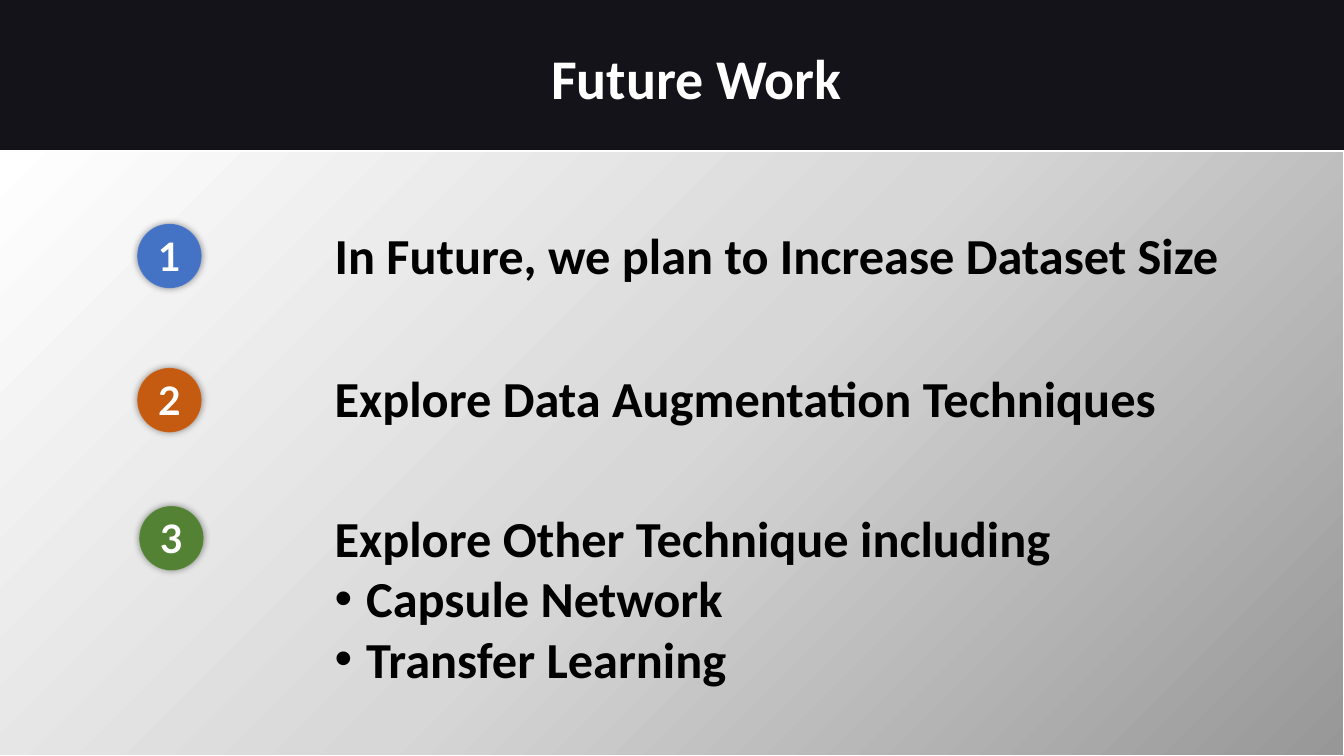
import dataclasses

import lxml.etree
import pptx
import pptx.dml.color
import pptx.enum.shapes
import pptx.enum.text
import pptx.oxml
import pptx.oxml.ns
import pptx.util

Pt = pptx.util.Pt
RECTANGLE = pptx.enum.shapes.MSO_SHAPE.RECTANGLE
OVAL = pptx.enum.shapes.MSO_SHAPE.OVAL
CENTER = pptx.enum.text.PP_ALIGN.CENTER
qn = pptx.oxml.ns.qn
NAMESPACE = pptx.oxml.ns.nsdecls("a")


@dataclasses.dataclass(frozen=True)
class Theme:
    background: str = "524E67"
    band: str = "000000"
    light: str = "FFFFFF"
    dark: str = "000000"
    gradient: tuple = ((0, "979797"), (50, "D7D7D7"), (100, "FFFFFF"))
    badges: tuple = ("4472C4", "C55A11", "548235")
    text_font: str = "Calibri"
    badge_font: str = "Lato"
    title_size: int = 40
    item_size: int = 36
    badge_size: int = 28


THEME = Theme()
ITEMS = (
    (98, 159.84, 159.84, 661.68, 43.92, "In Future, we plan to Increase Dataset Size", ()),
    (98, 262.8, 262.08, 713.52, 43.92, "Explore Data Augmentation Techniques", ()),
    (99.4, 361.44, 362.16, 699.84, 131.04, "Explore Other Technique including",
     ("Capsule Network", "Transfer Learning")),
)


def rgb(value):
    return pptx.dml.color.RGBColor.from_string(value)


def set_alpha(color_element, percent):
    lxml.etree.SubElement(color_element, qn("a:alpha")).set("val", str(percent * 1000))


def style_font(paragraph, name, size, color):
    paragraph.font.name = name
    paragraph.font.size = Pt(size)
    paragraph.font.bold = True
    paragraph.font.color.rgb = rgb(color)


def add_plain_shape(shapes, kind, left, top, width, height, color):
    shape = shapes.add_shape(kind, Pt(left), Pt(top), Pt(width), Pt(height))
    shape.shadow.inherit = False
    shape.fill.solid()
    shape.fill.fore_color.rgb = rgb(color)
    shape.line.fill.background()
    return shape


def add_textbox(shapes, left, top, width, height):
    textbox = shapes.add_textbox(Pt(left), Pt(top), Pt(width), Pt(height))
    textbox.text_frame.word_wrap = True
    textbox.text_frame.auto_size = pptx.enum.text.MSO_AUTO_SIZE.SHAPE_TO_FIT_TEXT
    return textbox


def add_header(slide, left, top, width, height):
    band = add_plain_shape(slide.shapes, RECTANGLE, left, top, width, height, THEME.band)
    set_alpha(band.element.spPr.find(f"{qn('a:solidFill')}/{qn('a:srgbClr')}"), 75)
    title = add_textbox(slide.shapes, left + 51.84, top + 27.36, 891.36, 55.44)
    paragraph = title.text_frame.paragraphs[0]
    paragraph.text = "Future Work"
    paragraph.alignment = CENTER
    style_font(paragraph, THEME.text_font, THEME.title_size, THEME.light)


def add_panel(slide, left, top, width, height):
    panel = add_plain_shape(slide.shapes, RECTANGLE, left, top, width, height, THEME.light)
    panel.line.color.rgb = rgb(THEME.light)
    panel.line.width = Pt(1)
    stops = "".join(
        f'<a:gs pos="{position * 1000}"><a:srgbClr val="{color}"/></a:gs>'
        for position, color in THEME.gradient
    )
    gradient = pptx.oxml.parse_xml(
        f'<a:gradFill {NAMESPACE} rotWithShape="1"><a:gsLst>{stops}</a:gsLst>'
        '<a:path path="circle"><a:fillToRect l="100000" t="100000"/></a:path>'
        '<a:tileRect r="-100000" b="-100000"/></a:gradFill>'
    )
    properties = panel.element.spPr
    properties.replace(properties.find(qn("a:solidFill")), gradient)


def add_badge(shapes, left, top, diameter, number, color):
    badge = add_plain_shape(shapes, OVAL, left, top, diameter, diameter, color)
    badge.line.color.rgb = rgb(THEME.light)
    badge.line.width = Pt(0.5)
    properties = badge.element.spPr
    set_alpha(properties.find(f"{qn('a:ln')}/{qn('a:solidFill')}/{qn('a:srgbClr')}"), 15)
    properties.find(qn("a:effectLst")).append(pptx.oxml.parse_xml(
        f'<a:outerShdw {NAMESPACE} blurRad="{Pt(5)}" dist="0" dir="0" algn="ctr" rotWithShape="0">'
        f'<a:srgbClr val="{THEME.dark}"><a:alpha val="40000"/></a:srgbClr></a:outerShdw>'
    ))
    badge.text_frame.vertical_anchor = pptx.enum.text.MSO_ANCHOR.MIDDLE
    paragraph = badge.text_frame.paragraphs[0]
    paragraph.text = str(number)
    paragraph.alignment = CENTER
    style_font(paragraph, THEME.badge_font, THEME.badge_size, THEME.light)


def add_bullet(paragraph, indent):
    properties = paragraph._p.get_or_add_pPr()
    properties.set("marL", str(Pt(indent)))
    properties.set("indent", str(-Pt(indent)))
    lxml.etree.SubElement(properties, qn("a:buFont")).set("typeface", "Arial")
    lxml.etree.SubElement(properties, qn("a:buChar")).set("char", "•")


def add_item(slide, left, top, width, height, text_top, number, heading, bullets):
    group = slide.shapes.add_group_shape()
    add_badge(group.shapes, left, top, 46.08, number, THEME.badges[number - 1])
    text_left = 239.04
    textbox = add_textbox(group.shapes, text_left, text_top, width, height)
    frame = textbox.text_frame
    frame.margin_left = frame.margin_top = frame.margin_right = frame.margin_bottom = 0
    frame.text = "\n".join((heading, *bullets))
    for paragraph in frame.paragraphs:
        style_font(paragraph, THEME.text_font, THEME.item_size, THEME.dark)
    for paragraph in frame.paragraphs[1:]:
        add_bullet(paragraph, 22.5)


def main():
    presentation = pptx.Presentation()
    presentation.slide_width = Pt(960)
    presentation.slide_height = Pt(540)
    slide = presentation.slides.add_slide(presentation.slide_layouts[6])
    slide.background.fill.solid()
    slide.background.fill.fore_color.rgb = rgb(THEME.background)
    add_plain_header_height = 540
    add_header(slide, 0, 0, 960, add_plain_header_height)
    add_panel(slide, -1.2, 108, 961.2, 432)
    for number, (left, top, text_top, width, height, heading, bullets) in enumerate(ITEMS, 1):
        add_item(slide, left, top, width, height, text_top, number, heading, bullets)
    presentation.save("out.pptx")


if __name__ == "__main__":
    main()
